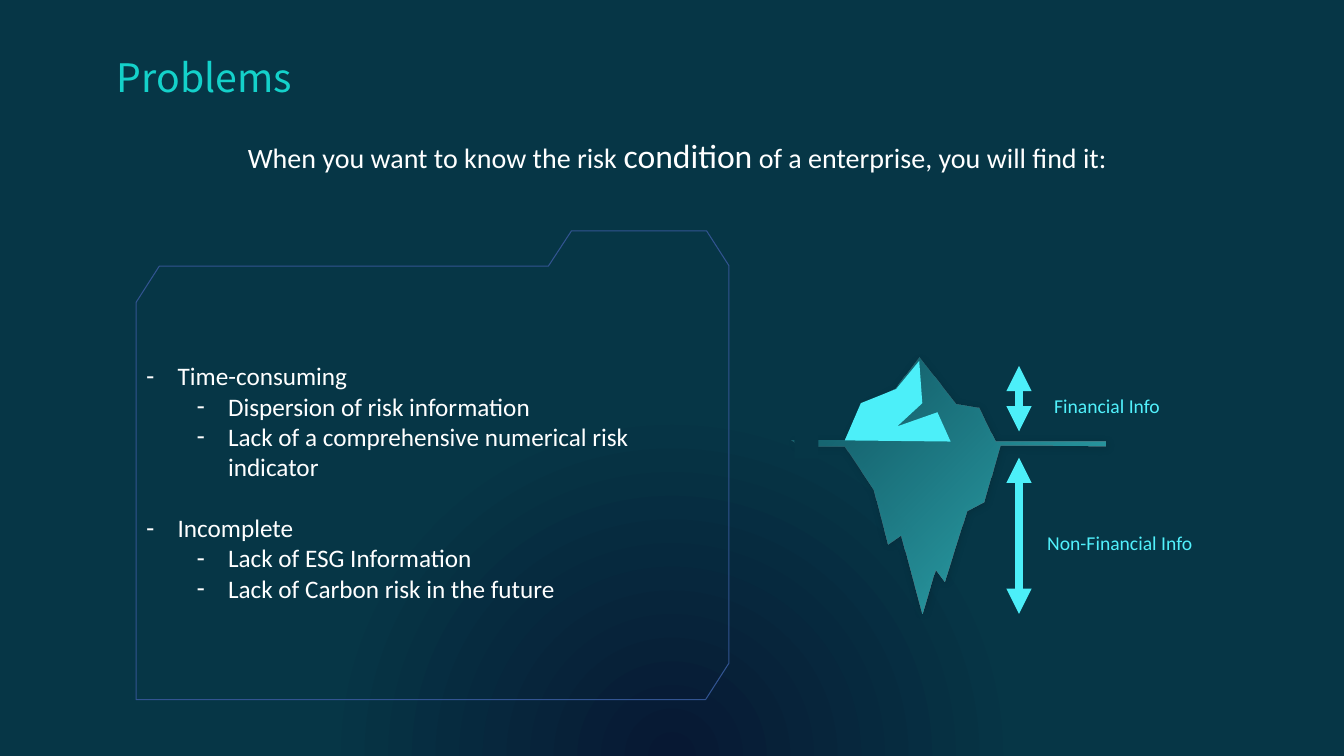
from lxml import etree
from pptx import Presentation
from pptx.dml.color import RGBColor
from pptx.enum import shapes, text
from pptx.oxml import parse_xml
from pptx.oxml.ns import nsdecls, qn
from pptx.util import Pt

NIGHT, DEEP, ICE, LABEL, WHITE = "071833", "063646", "4CEFF9", "51F1FC", "FFFFFF"

FRAME = [(408.2, 164.9), (504.7, 164.9), (520.6, 189.7), (520.6, 473.8), (504, 499.7),
         (97.2, 499.7), (97.2, 216), (113.8, 190.1), (391.7, 190.1)]
ICEBERG = [(656.6, 255.6), (682.6, 288.7), (699.1, 291.6), (710.6, 315.4), (789.8, 315.4),
           (789.8, 319), (714.2, 318.2), (702.7, 358.6), (690.5, 365), (674.6, 415.4),
           (668.2, 406.8), (658.8, 438.5), (643.7, 382.3), (634.3, 388.8), (624.2, 349.9),
           (603.4, 319), (571, 319), (565.2, 314.6), (603.4, 314.6), (617.8, 288.7),
           (639.4, 277.9)]
ICE_TIP = [(656.6, 257.8), (658.8, 288), (640.8, 304.6), (669.6, 294.5), (679, 315.4),
           (603.4, 314.6), (614.9, 288), (640.1, 277.9)]

# (text, level, space before)
PROBLEMS = [("Time-consuming", 0, 0),
            ("Dispersion of risk information", 1, 0),
            ("Lack of a comprehensive numerical risk indicator", 1, 0),
            ("Incomplete", 0, 22),
            ("Lack of ESG Information", 1, 0),
            ("Lack of Carbon risk in the future", 1, 0)]


def rgb(color):
    return RGBColor.from_string(color)


def set_gradient(parent, stops, direction):
    """Swap the solid fill in parent for a gradient; stops are (position, colour, opacity)."""
    gs = "".join(f'<a:gs pos="{pos * 1000}"><a:srgbClr val="{color}">'
                 f'<a:alpha val="{alpha * 1000}"/></a:srgbClr></a:gs>'
                 for pos, color, alpha in stops)
    grad = parse_xml(f'<a:gradFill {nsdecls("a")} rotWithShape="1">'
                     f'<a:gsLst>{gs}</a:gsLst>{direction}</a:gradFill>')
    parent.replace(parent.find(qn("a:solidFill")), grad)


def linear(angle):
    return f'<a:lin ang="{angle * 60000}" scaled="0"/>'


def add_outline(slide, points, fill=None, line=None):
    (x, y), *rest = [(Pt(px), Pt(py)) for px, py in points]
    builder = slide.shapes.build_freeform(x, y, scale=1.0)
    builder.add_line_segments(rest, close=True)
    return style(builder.convert_to_shape(), fill, line)


def style(sp, fill=None, line=None):
    sp.shadow.inherit = False
    if fill:
        sp.fill.solid()
        sp.fill.fore_color.rgb = rgb(fill)
    else:
        sp.fill.background()
    if line:
        sp.line.color.rgb = rgb(line)
        sp.line.width = Pt(0.75)
    else:
        sp.line.fill.background()
    return sp


def add_run(p, content, size=18, color=WHITE, font="Calibri"):
    r = p.add_run()
    r.text = content
    r.font.size, r.font.name = Pt(size), font
    r.font.color.rgb = rgb(color)
    return r


def add_label(slide, left, top, width, height, runs):
    tf = slide.shapes.add_textbox(Pt(left), Pt(top), Pt(width), Pt(height)).text_frame
    tf.word_wrap = True
    for content, size, color in runs:
        add_run(tf.paragraphs[0], content, size=size, color=color)


def add_arrow(slide, x, top, bottom):
    sp = slide.shapes.add_connector(shapes.MSO_CONNECTOR.STRAIGHT,
                                    Pt(x), Pt(top), Pt(x), Pt(bottom))
    sp.line.color.rgb = rgb(ICE)
    sp.line.width = Pt(6)
    ln = sp.line._get_or_add_ln()
    for end in ("a:headEnd", "a:tailEnd"):
        etree.SubElement(ln, qn(end), type="triangle")
    etree.SubElement(sp._element.spPr, qn("a:effectLst"))


def place(sp, left, top, width, height, anchor):
    sp.left, sp.top, sp.width, sp.height = Pt(left), Pt(top), Pt(width), Pt(height)
    tf = sp.text_frame
    tf.word_wrap = True
    tf.auto_size = text.MSO_AUTO_SIZE.NONE
    tf.vertical_anchor = anchor
    return tf


def fill_title(slide):
    tf = place(slide.shapes.title, 76.3, 34.6, 478, 41, text.MSO_ANCHOR.MIDDLE)
    p = tf.paragraphs[0]
    p.alignment = text.PP_ALIGN.LEFT
    r = add_run(p, "Problems", size=28, font="Noto Sans CJK SC")
    set_gradient(r.font._element, [(0, "14D1CA", 100), (100, "54F3FF", 100)], linear(90))


def fill_list(slide):
    tf = place(slide.placeholders[1], 97.2, 254, 421, 206, text.MSO_ANCHOR.TOP)
    for i, (content, level, gap) in enumerate(PROBLEMS):
        p = tf.paragraphs[0] if i == 0 else tf.add_paragraph()
        p.level = level
        p.space_before = Pt(gap)
        add_run(p, content)
        pPr = p._p.get_or_add_pPr()
        pPr.set("marL", str(Pt(22.5 + 36 * level)))
        pPr.set("indent", str(-Pt(22.5)))
        etree.SubElement(pPr, qn("a:buChar"), char="-")


def add_iceberg(slide):
    sp = add_outline(slide, ICEBERG, fill="31B1B8")
    spPr = sp._element.spPr
    set_gradient(spPr, [(0, "31B1B8", 25), (100, "31B1B8", 100)], linear(45))
    spPr.find(qn("a:effectLst")).append(parse_xml(
        f'<a:outerShdw {nsdecls("a")} blurRad="{Pt(6)}" dist="{Pt(1)}" dir="2700000">'
        '<a:srgbClr val="000000"><a:alpha val="20000"/></a:srgbClr></a:outerShdw>'))
    # Cover that shortens the water line on the left
    style(slide.shapes.add_shape(shapes.MSO_SHAPE.RECTANGLE,
                                 Pt(567.4), Pt(286.6), Pt(17.3), Pt(41)), fill=DEEP)
    add_outline(slide, ICE_TIP, fill=ICE)


def main():
    prs = Presentation()
    prs.slide_width, prs.slide_height = Pt(960), Pt(540)
    slide = prs.slides.add_slide(prs.slide_layouts[1])

    # Background glow from below the slide
    slide.background.fill.solid()
    set_gradient(slide._element.cSld.bg.bgPr,
                 [(0, NIGHT, 61), (46, DEEP, 100), (100, DEEP, 100)],
                 '<a:path path="circle"><a:fillToRect l="50000" t="130000" '
                 'r="50000" b="-30000"/></a:path>')

    # Title, list and its frame
    fill_title(slide)
    add_outline(slide, FRAME, line="325491")
    fill_list(slide)

    # Iceberg with its labels and arrows
    add_iceberg(slide)
    add_label(slide, 745.9, 277.9, 155.5, 24.5, [("Financial Info", 14, LABEL)])
    add_label(slide, 740.9, 375.8, 200.9, 41, [("Non-Financial Info", 14, LABEL)])
    add_arrow(slide, 727.9, 326.9, 438.5)
    add_arrow(slide, 727.9, 261.4, 308.2)

    # Lead sentence
    add_label(slide, 169.9, 92.9, 693.4, 36,
              [("When you want to know the risk ", 20, WHITE), ("condition", 24, WHITE),
               (" of a enterprise, you will find it:", 20, WHITE)])

    prs.save("out.pptx")


if __name__ == "__main__":
    main()
